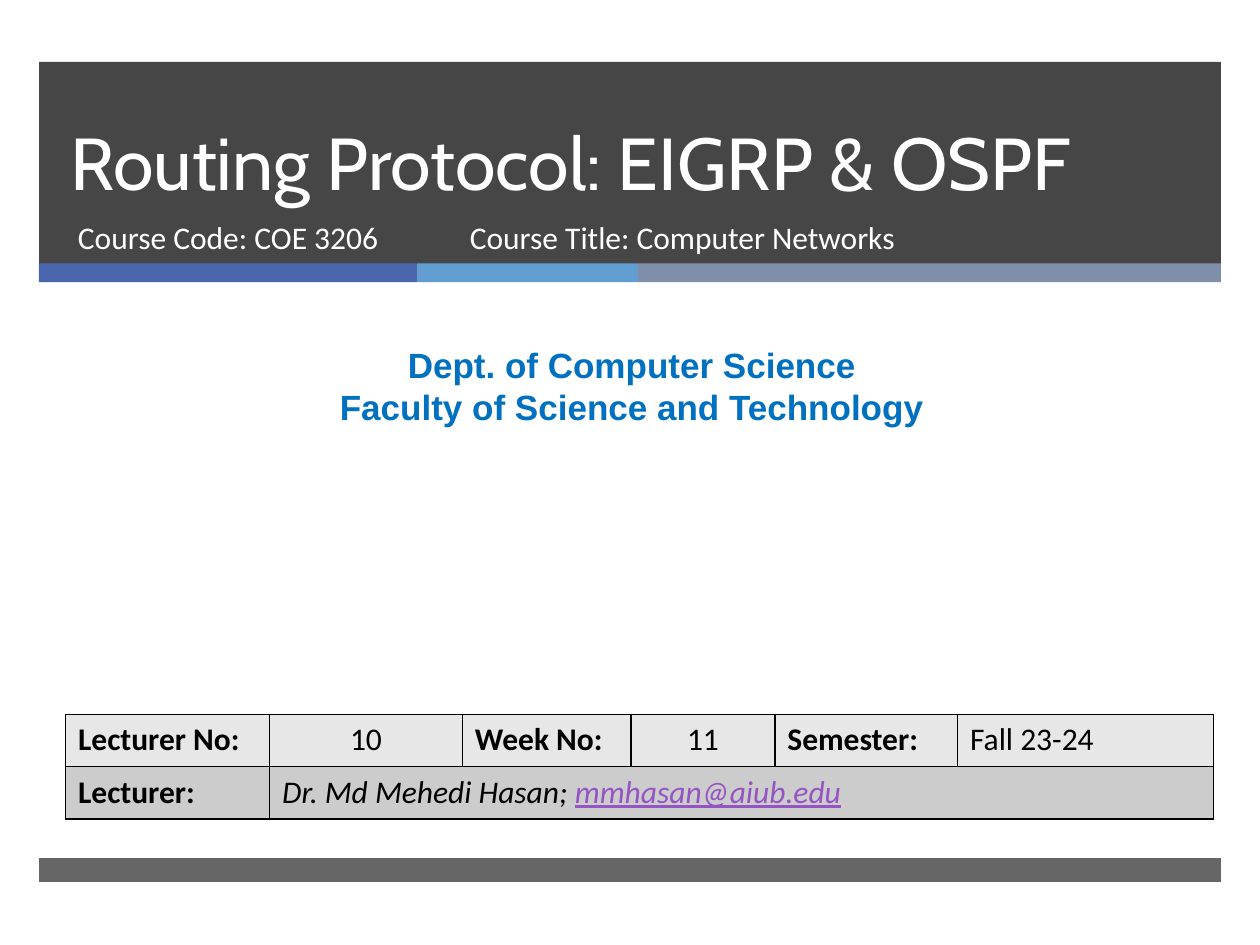
import pptx
import pptx.util
import pptx.dml.color
import pptx.enum.shapes
import pptx.enum.text
import pptx.oxml.ns
from lxml import etree

Inches, Pt = pptx.util.Inches, pptx.util.Pt
ALIGN = pptx.enum.text.PP_ALIGN
ANCHOR = pptx.enum.text.MSO_ANCHOR

THEME = {
    "dark": "262626", "accents": ["4A66AC", "629DD1", "7F8FA9"],
    "white": "FFFFFF", "black": "000000", "dept": "0070C0", "email": "9454C3",
    "rows": ["E7E7E7", "CCCCCC"],
    "title": ("Cabin", 42), "body": ("Calibri", 18), "heading": ("Arial", 20),
}

TITLE = "Routing Protocol: EIGRP & OSPF"
COURSE = [("Course Code: COE 3206", 0.52, 3.05),
          ("Course Title: Computer Networks", 3.63, 4.55)]
DEPARTMENT = ["Dept. of Computer Science", "Faculty of Science and Technology"]
DETAILS = [("Lecturer No:", "10"), ("Week No:", "11"), ("Semester:", "Fall 23-24")]
LECTURER = ("Lecturer:", "Dr. Md Mehedi Hasan; ", "mmhasan@aiub.edu")

SLIDE_W, SLIDE_H = 10, 7.5
MARGIN = 0.31
BAND_W = SLIDE_W - 2 * MARGIN
HEADER_TOP, HEADER_H = 0.49, 1.61
STRIPE_TOP, STRIPE_H = 2.09, 0.15
STRIPE_SHARES = [0.32, 0.187, 0.493]
FOOTER_TOP, FOOTER_H = 6.81, 0.19
COURSE_TOP, COURSE_H = 1.68, 0.53
TABLE_LEFT, TABLE_TOP, ROW_H = 0.52, 5.67, 0.415
COLUMNS = [1.62, 1.53, 1.34, 1.14, 1.45, 2.03]


def rgb(color):
    return pptx.dml.color.RGBColor.from_string(color)


def add_band(slide, left, top, width, height, color, opacity=100):
    sp = slide.shapes.add_shape(pptx.enum.shapes.MSO_SHAPE.RECTANGLE,
                                *map(Inches, (left, top, width, height)))
    sp.shadow.inherit = False
    sp.line.fill.background()
    sp.fill.solid()
    sp.fill.fore_color.rgb = rgb(color)
    if opacity < 100:
        clr = sp.fill._xPr.find(".//" + pptx.oxml.ns.qn("a:srgbClr"))
        etree.SubElement(clr, pptx.oxml.ns.qn("a:alpha"), val=str(opacity * 1000))


def add_run(p, text, style, color, bold=False, italic=False, underline=False):
    r = p.add_run()
    r.text = text
    font = r.font
    font.name, size = THEME[style]
    font.size = Pt(size)
    font.color.rgb = rgb(color)
    font.bold, font.italic, font.underline = bold, italic, underline


def add_text(slide, box, lines, style, color, bold=False,
             align=ALIGN.LEFT, anchor=ANCHOR.TOP, spacing=None):
    tf = slide.shapes.add_textbox(*map(Inches, box)).text_frame
    tf.word_wrap = True
    tf.vertical_anchor = anchor
    for i, line in enumerate(lines):
        p = tf.add_paragraph() if i else tf.paragraphs[0]
        p.alignment = align
        if spacing:
            p.line_spacing = Pt(spacing)
        add_run(p, line, style, color, bold)


def style_cell(cell, fill):
    """Give the cell its fill and a thin black line on every side."""
    cell.vertical_anchor = ANCHOR.TOP
    tcPr = cell._tc.get_or_add_tcPr()
    for side in ("lnL", "lnR", "lnT", "lnB"):
        ln = etree.SubElement(tcPr, pptx.oxml.ns.qn("a:" + side), w=str(Pt(1)))
        solid = etree.SubElement(ln, pptx.oxml.ns.qn("a:solidFill"))
        etree.SubElement(solid, pptx.oxml.ns.qn("a:srgbClr"), val=THEME["black"])
    cell.fill.solid()
    cell.fill.fore_color.rgb = rgb(fill)


def add_details(slide):
    table = slide.shapes.add_table(
        2, len(COLUMNS), Inches(TABLE_LEFT), Inches(TABLE_TOP),
        Inches(sum(COLUMNS)), Inches(2 * ROW_H)).table
    for column, width in zip(table.columns, COLUMNS):
        column.width = Inches(width)
    for row, fill in zip(table.rows, THEME["rows"]):
        row.height = Inches(ROW_H)
        for cell in row.cells:
            style_cell(cell, fill)
    table.cell(1, 1).merge(table.cell(1, len(COLUMNS) - 1))

    black = THEME["black"]
    for i, (label, value) in enumerate(DETAILS):
        p = table.cell(0, 2 * i).text_frame.paragraphs[0]
        add_run(p, label, "body", black, bold=True)
        p = table.cell(0, 2 * i + 1).text_frame.paragraphs[0]
        p.alignment = ALIGN.CENTER if value.isdigit() else ALIGN.LEFT
        add_run(p, value, "body", black)

    label, name, email = LECTURER
    add_run(table.cell(1, 0).text_frame.paragraphs[0], label, "body", black, bold=True)
    p = table.cell(1, 1).text_frame.paragraphs[0]
    add_run(p, name, "body", black, italic=True)
    add_run(p, email, "body", THEME["email"], italic=True, underline=True)


def main():
    prs = pptx.Presentation()
    prs.slide_width, prs.slide_height = Inches(SLIDE_W), Inches(SLIDE_H)
    slide = prs.slides.add_slide(prs.slide_layouts[6])

    add_band(slide, MARGIN, HEADER_TOP, BAND_W, HEADER_H, THEME["dark"], 85)
    left = MARGIN
    for share, color in zip(STRIPE_SHARES, THEME["accents"]):
        add_band(slide, left, STRIPE_TOP, share * BAND_W, STRIPE_H, color)
        left += share * BAND_W
    add_band(slide, MARGIN, FOOTER_TOP, BAND_W, FOOTER_H, THEME["dark"], 70)

    add_text(slide, (0.46, HEADER_TOP, 8.54, COURSE_TOP - HEADER_TOP), [TITLE],
             "title", THEME["white"], anchor=ANCHOR.BOTTOM, spacing=46)
    for text, left, width in COURSE:
        add_text(slide, (left, COURSE_TOP, width, COURSE_H), [text],
                 "body", THEME["white"])
    add_text(slide, (0.08, 2.68, 9.87, 0.77), DEPARTMENT, "heading",
             THEME["dept"], bold=True, align=ALIGN.CENTER)
    add_details(slide)
    prs.save("out.pptx")


if __name__ == "__main__":
    main()
